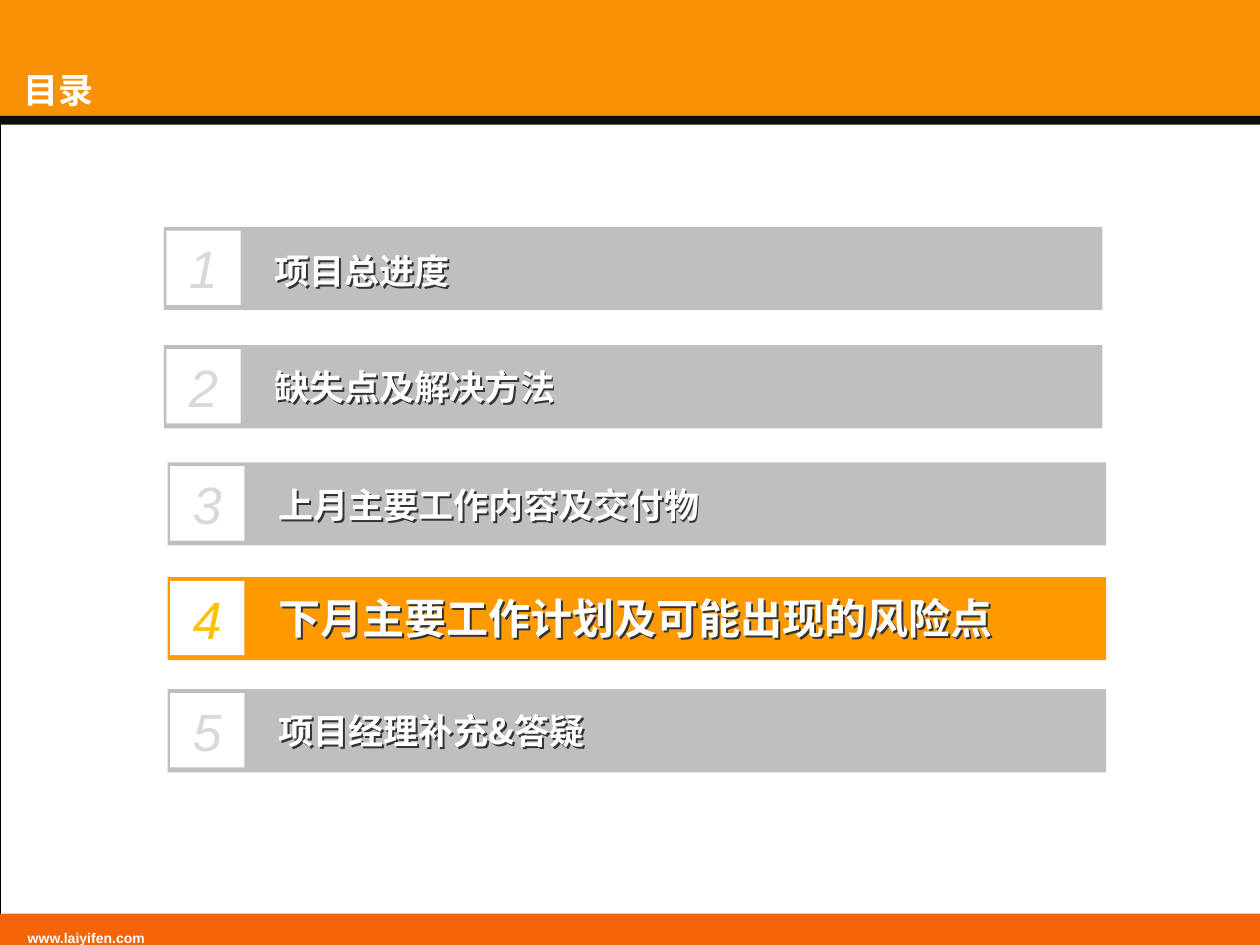
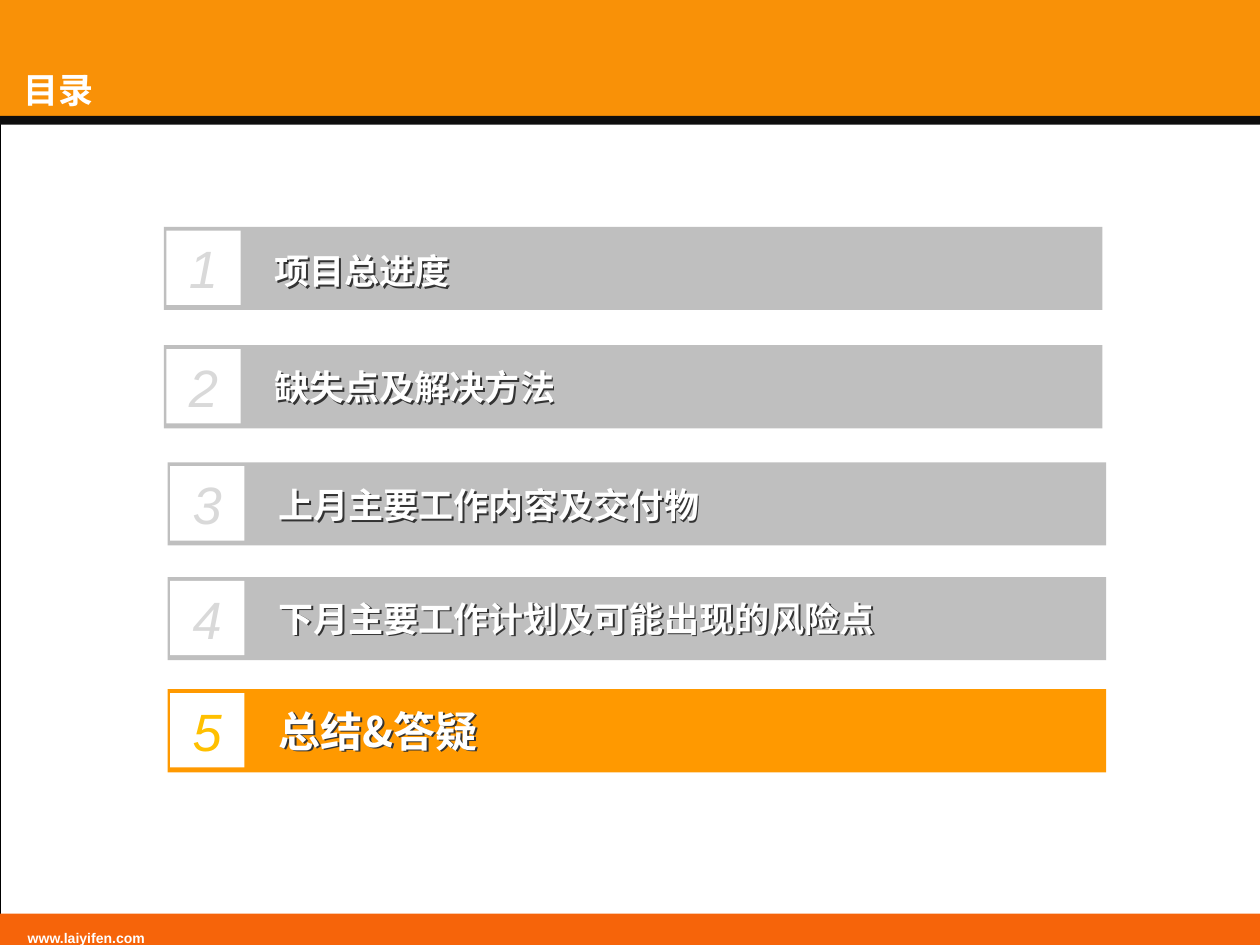
from lxml import etree
from pptx import Presentation
from pptx.dml.color import RGBColor
from pptx.enum.shapes import MSO_SHAPE
from pptx.enum.text import MSO_ANCHOR, PP_ALIGN
from pptx.oxml.ns import qn
from pptx.util import Inches, Pt

RECT = MSO_SHAPE.RECTANGLE
TOP, MIDDLE, BOTTOM = MSO_ANCHOR.TOP, MSO_ANCHOR.MIDDLE, MSO_ANCHOR.BOTTOM
LEFT, CENTER = PP_ALIGN.LEFT, PP_ALIGN.CENTER

WHITE = RGBColor(0xFF, 0xFF, 0xFF)
BLACK = RGBColor(0x00, 0x00, 0x00)
INK = RGBColor(0x0D, 0x0D, 0x0D)
SHADE = RGBColor(0x33, 0x33, 0x33)
HEAD = RGBColor(0xF9, 0x91, 0x07)
FOOT = RGBColor(0xF6, 0x64, 0x0A)
GRAY = RGBColor(0xBF, 0xBF, 0xBF)
PALE = RGBColor(0xD9, 0xD9, 0xD9)
ORANGE = RGBColor(0xFF, 0x99, 0x00)
GOLD = RGBColor(0xFF, 0xC0, 0x00)

LATIN, HAN = "Arial", "Noto Sans CJK SC"

TITLE = "目录"
SITE = "www.laiyifen.com"
TOPICS = ["项目总进度", "缺失点及解决方法", "上月主要工作内容及交付物",
          "下月主要工作计划及可能出现的风险点"]
# Each slide: its agenda items and the number of the current one
SLIDES = [
    (TOPICS + ["项目经理补充&答疑"], 4),
    (TOPICS + ["总结&答疑"], 5),
]
# Left and top of each agenda bar, and the drop from there to its label
SPOTS = [(1.3, 1.8, 0.15), (1.3, 2.74, 0.13), (1.33, 3.67, 0.14),
         (1.33, 4.58, 0.13), (1.33, 5.47, 0.13)]

BANDS = [
    (0, 0.94, HEAD),
    (0.92, 0.07, INK),
    (7.25, 0.25, FOOT),
]


def add_rect(slide, x, y, w, h, fill=None):
    rect = slide.shapes.add_shape(RECT, Inches(x), Inches(y),
                                  Inches(w), Inches(h))
    rect.shadow.inherit = False
    if fill is None:
        rect.fill.background()
    else:
        rect.fill.solid()
        rect.fill.fore_color.rgb = fill
    rect.line.fill.background()
    return rect


def add_box(slide, x, y, w, h):
    return slide.shapes.add_textbox(Inches(x), Inches(y),
                                    Inches(w), Inches(h))


def write(shape, text, size, color, font, bold=False, italic=False,
          anchor=MIDDLE, align=LEFT, pads=(0, 0, 0, 0)):
    """Fill a shape with one styled line; pads are left, top, right, bottom."""
    frame = shape.text_frame
    frame.text = text
    frame.word_wrap = True
    frame.vertical_anchor = anchor
    (frame.margin_left, frame.margin_top,
     frame.margin_right, frame.margin_bottom) = map(Inches, pads)
    para = frame.paragraphs[0]
    para.alignment = align
    run = para.runs[0]
    run.font.size = Pt(size)
    run.font.bold = bold
    run.font.italic = italic
    run.font.color.rgb = color
    run.font.name = font
    latin = run.font._element.find(qn("a:latin"))
    latin.addnext(etree.Element(qn("a:ea"), typeface=font))
    return para


def cast_shadow(box):
    """Give an unfilled text box a dark shadow, which falls from its text."""
    effects = etree.SubElement(box._element.spPr, qn("a:effectLst"))
    outer = etree.SubElement(effects, qn("a:outerShdw"), blurRad="0",
                             dist=str(Pt(1.6)), dir="2700000", algn="tl")
    etree.SubElement(outer, qn("a:srgbClr"), val=str(SHADE))


def add_base(slide):
    """Draw the page frame, bands, title and footer."""
    page = add_rect(slide, 0, 0, 10, 7.5)
    page.line.color.rgb = BLACK
    page.line.width = Pt(0.2)
    for y, h, color in BANDS:
        add_rect(slide, 0, y, 10, h, color)
    foot = write(add_box(slide, 0, 7.3, 6.57, 0.2), SITE, 8, WHITE, LATIN,
                 bold=True, anchor=TOP, pads=(0.22, 0.05, 0.1, 0))
    foot.line_spacing = 1.2
    write(add_box(slide, 0, 0.35, 8.13, 0.57), TITLE, 20, WHITE, HAN,
          bold=True, anchor=BOTTOM, pads=(0.19, 0.04, 0.2, 0.04))


def add_item(slide, spot, num, text, active):
    x, y, drop = spot
    add_rect(slide, x, y, 7.45, 0.66, ORANGE if active else GRAY)
    label = add_box(slide, x + 0.84, y + drop, 6.6, 0.39)
    write(label, text, 24 if active else 20, WHITE, HAN, bold=True,
          pads=(0.04, 0.02, 0.04, 0.02))
    cast_shadow(label)
    write(add_rect(slide, x + 0.02, y + 0.03, 0.59, 0.59, WHITE), str(num),
          30, GOLD if active else PALE, LATIN, italic=True, align=CENTER)


def main():
    deck = Presentation()
    deck.slide_width, deck.slide_height = Inches(10), Inches(7.5)
    for items, current in SLIDES:
        slide = deck.slides.add_slide(deck.slide_layouts[6])
        add_base(slide)
        for num, (text, spot) in enumerate(zip(items, SPOTS), 1):
            add_item(slide, spot, num, text, num == current)
    deck.save("out.pptx")


if __name__ == "__main__":
    main()
